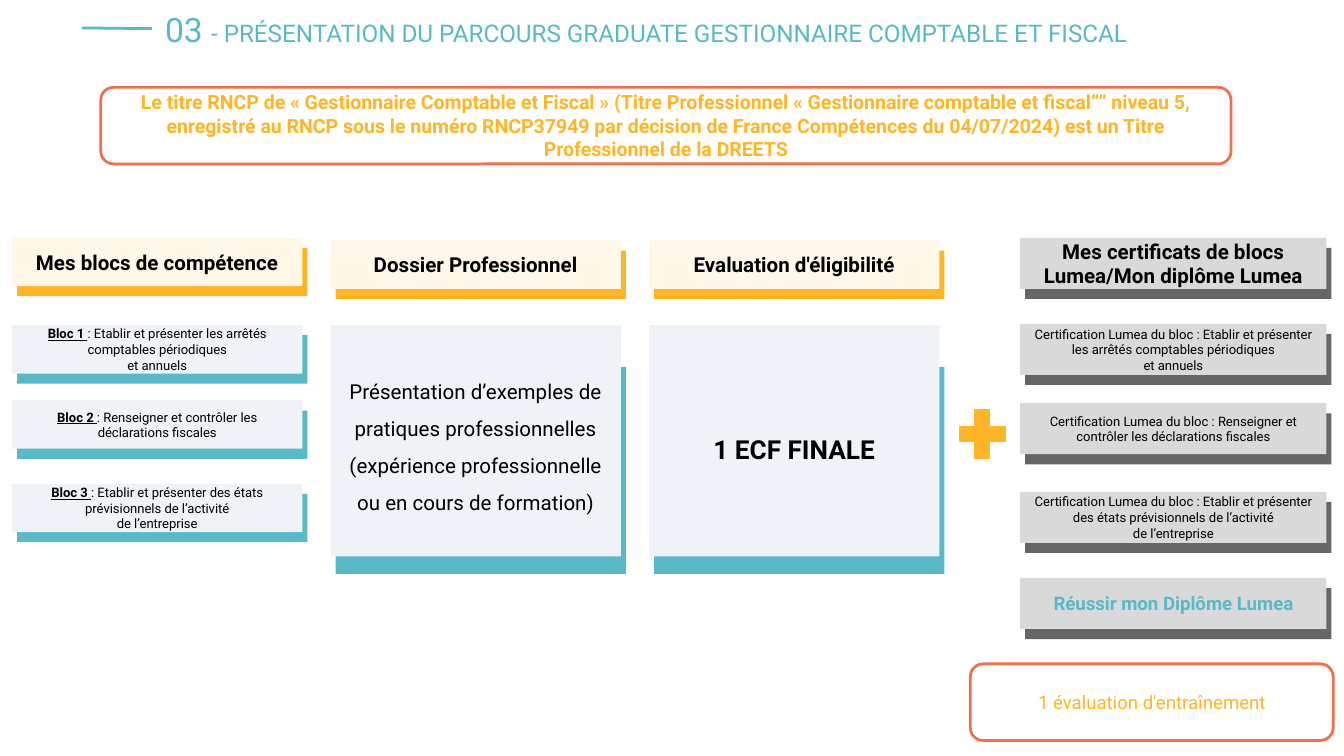
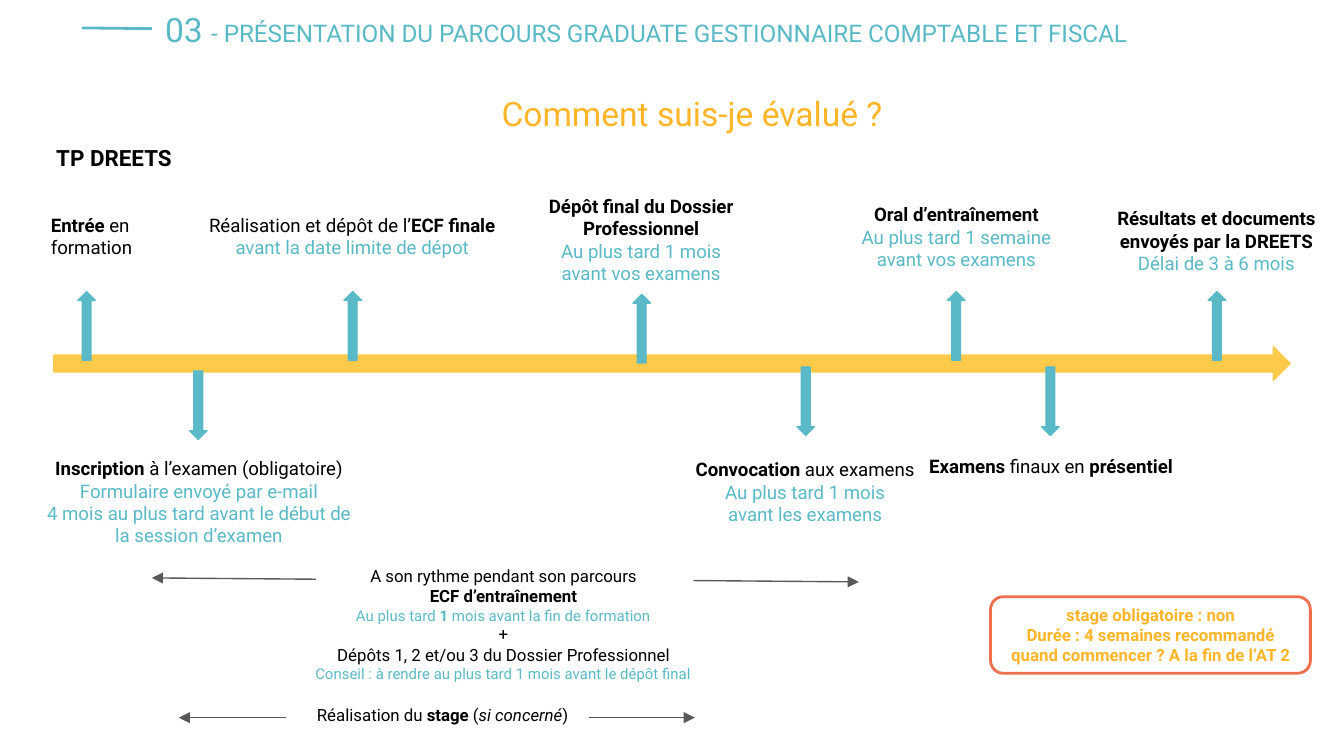
from dataclasses import dataclass

from lxml import etree
from pptx import Presentation
from pptx.dml.color import RGBColor
from pptx.enum.shapes import MSO_CONNECTOR, MSO_SHAPE
from pptx.enum.text import MSO_ANCHOR, PP_ALIGN
from pptx.oxml.ns import qn
from pptx.util import Inches, Pt

BOX, ROUND = MSO_SHAPE.RECTANGLE, MSO_SHAPE.ROUNDED_RECTANGLE
UP, RIGHT, PLUS = MSO_SHAPE.UP_ARROW, MSO_SHAPE.RIGHT_ARROW, MSO_SHAPE.MATH_PLUS
STRAIGHT = MSO_CONNECTOR.STRAIGHT
LEFT, CENTER = PP_ALIGN.LEFT, PP_ALIGN.CENTER
TOP, MIDDLE = MSO_ANCHOR.TOP, MSO_ANCHOR.MIDDLE

TEAL = RGBColor(0x59, 0xB9, 0xC7)
AMBER = RGBColor(0xFF, 0xB5, 0x27)
GOLD = RGBColor(0xFF, 0xCA, 0x4A)
CREAM = RGBColor(0xFF, 0xF8, 0xE9)
MIST = RGBColor(0xEF, 0xF2, 0xF6)
CORAL = RGBColor(0xEE, 0x70, 0x4C)
SILVER = RGBColor(0xD9, 0xD9, 0xD9)
GRAY = RGBColor(0x66, 0x66, 0x66)
SLATE = RGBColor(0x59, 0x59, 0x59)
BLACK = RGBColor(0, 0, 0)

FONT = "Roboto"
BOLD = {"bold": True}
ITALIC = {"italic": True}
MARK = {"bold": True, "underline": True}

WIDTH, HEIGHT = Inches(10), Inches(5.625)
CELL = WIDTH / 100  # square grid, 100 columns wide
PAD = 1

# Slide 1 grid
PITCH, FIRST = 23.7, 0.9
CARD_W, CARD_H = 21.6, 3.6
CERT_X, CERT_W, CERT_H = 75.9, 22.8, 3.8
BLOCKS = [
    (24.2, "Bloc 1 ", ": Etablir et présenter les arrêtés comptables périodiques",
     "et annuels"),
    (29.8, "Bloc 2 ", ": Renseigner et contrôler les déclarations fiscales", None),
    (36, "Bloc 3 ", ": Etablir et présenter des états prévisionnels de l’activité",
     "de l’entreprise"),
]
CERT_ROWS = (24.1, 30, 36.6)

# Slide 2 grid
RISES = [(5.8, 21.7), (25.6, 21.7), (47.1, 21.9), (70.5, 21.7), (89.9, 21.7)]
FALLS = [(14.1, 27.6), (59.3, 27.3), (77.5, 27.3)]
SPANS = [((21.3, 53.4), (13.3, 53.4)), ((43.8, 53.4), (51.7, 53.4)),
         ((23.5, 43.1), (11.3, 43)), ((51.6, 43.2), (63.9, 43.3))]


@dataclass
class Line:
    """One paragraph; a run is a string or a (string, font settings) pair."""
    runs: tuple
    size: float = 10
    ink: RGBColor = BLACK
    bold: bool = False
    gap: float = 1


def line(*runs, **look):
    return Line(runs, **look)


def grid(*cells):
    return [round(cell * CELL) for cell in cells]


def write(shape, lines, align=CENTER, anchor=MIDDLE):
    frame = shape.text_frame
    frame.word_wrap = True
    frame.vertical_anchor = anchor
    pad, = grid(PAD)
    frame.margin_left = frame.margin_right = pad
    frame.margin_top = frame.margin_bottom = pad
    for pos, item in enumerate(lines):
        para = frame.add_paragraph() if pos else frame.paragraphs[0]
        para.alignment = align
        para.line_spacing = item.gap
        font = para.font
        font.name, font.size, font.bold = FONT, Pt(item.size), item.bold
        font.color.rgb = item.ink
        for part in item.runs:
            text, look = (part, {}) if isinstance(part, str) else part
            run = para.add_run()
            run.text = text
            for key, value in look.items():
                setattr(run.font, key, value)


def text(slide, x, y, w, h, *lines, align=CENTER):
    write(slide.shapes.add_textbox(*grid(x, y, w, h)), lines, align, TOP)


def form(slide, kind, x, y, w, h, fill=None, edge=None, weight=0.75):
    shape = slide.shapes.add_shape(kind, *grid(x, y, w, h))
    shape.shadow.inherit = False
    if fill is None:
        shape.fill.background()
    else:
        shape.fill.solid()
        shape.fill.fore_color.rgb = fill
    if edge is None:
        shape.line.fill.background()
    else:
        shape.line.color.rgb = edge
        shape.line.width = Pt(weight)
    return shape


def card(slide, x, y, w, h, fill, shade, *lines, drop=0.75, depth=None):
    """Filled box in front of an offset box of the shade colour."""
    form(slide, BOX, x + 0.37, y + drop, w, depth or h, shade)
    write(form(slide, BOX, x, y, w, h, fill), lines)


def frame(slide, x, y, w, *lines):
    write(form(slide, ROUND, x, y, w, 5.7, edge=CORAL, weight=1.5), lines)


def rule(slide, start, end, ink, weight, arrow=False):
    link = slide.shapes.add_connector(STRAIGHT, *grid(*start, *end))
    link.line.color.rgb = ink
    link.line.width = Pt(weight)
    if arrow:
        etree.SubElement(link.line._get_or_add_ln(), qn("a:tailEnd"), type="triangle")
    etree.SubElement(link._element.spPr, qn("a:effectLst"))


def page(deck):
    """Blank slide with the shared title and its dash."""
    slide = deck.slides.add_slide(deck.slide_layouts[6])
    title = "- PRÉSENTATION DU PARCOURS GRADUATE GESTIONNAIRE COMPTABLE ET FISCAL"
    text(slide, 11.3, -0.3, 80, 5,
         line(("03 ", {"size": Pt(18)}), title, size=13, ink=TEAL), align=LEFT)
    rule(slide, (6.1, 2.08), (11.3, 2.13), TEAL, 1.5)
    return slide


def course(deck):
    slide = page(deck)
    heads = [(17.7, "Mes blocs de compétence"), (17.9, "Dossier Professionnel"),
             (17.9, "Evaluation d'éligibilité")]
    for col, (y, head) in enumerate(heads):
        card(slide, FIRST + col * PITCH, y, CARD_W, CARD_H, CREAM, AMBER,
             line(head, size=11, bold=True))
    card(slide, CERT_X, 17.7, CERT_W, CERT_H, SILVER, GRAY,
         line("Mes certificats de blocs Lumea/Mon diplôme Lumea", size=11, bold=True))

    for (y, name, topic, rest), row in zip(BLOCKS, CERT_ROWS):
        tail = [line(rest, size=7)] if rest else []
        card(slide, FIRST, y, CARD_W, CARD_H, MIST, TEAL,
             line((name, MARK), topic, size=7), *tail)
        card(slide, CERT_X, row, CERT_W, CERT_H, SILVER, GRAY,
             line("Certification Lumea du bloc " + topic, size=7), *tail)
    card(slide, CERT_X, 43, CERT_W, CERT_H, SILVER, GRAY,
         line("Réussir mon Diplôme Lumea", ink=TEAL, bold=True))

    tasks = [
        line("Présentation d’exemples de pratiques professionnelles (expérience "
             "professionnelle ou en cours de formation)", size=11, gap=1.5),
        line("1 ECF FINALE", size=14, bold=True, gap=1.5),
    ]
    for col, task in enumerate(tasks, 1):
        card(slide, FIRST + col * PITCH, 24.2, CARD_W, 17.2, MIST, TEAL, task,
             drop=3.1, depth=15.4)

    frame(slide, 7.5, 6.5, 84.1, line(
        "Le titre RNCP de « Gestionnaire Comptable et Fiscal » (Titre Professionnel "
        "« Gestionnaire comptable et fiscal”” niveau 5, enregistré au RNCP sous le "
        "numéro RNCP37949 par décision de France Compétences du 04/07/2024) est un "
        "Titre Professionnel de la DREETS", size=10.5, ink=AMBER, bold=True))
    frame(slide, 72.2, 49.4, 27, line("1 évaluation d'entraînement", ink=AMBER))
    plus = form(slide, PLUS, 70.8, 29.8, 4.6, 5, AMBER, AMBER)
    plus.adjustments[0] = 0.235


def steps(slide):
    """Captions above and below the time line."""
    text(slide, 2.8, 14.9, 9.2, 4.1, line(("Entrée", BOLD), " en formation"),
         align=LEFT)
    text(slide, 13.2, 14.9, 26, 4.1,
         line("Réalisation et dépôt de l’", ("ECF finale", BOLD)),
         line("avant la date limite de dépot", ink=TEAL))
    text(slide, 36.2, 13.5, 23, 4.1,
         line("Dépôt final du Dossier Professionnel", bold=True),
         line("Au plus tard 1 mois", ink=TEAL),
         line("avant vos examens", ink=TEAL))
    text(slide, 53.7, 14.1, 34.9, 4.1,
         line("Oral d’entraînement", bold=True),
         line("Au plus tard 1 semaine", ink=TEAL),
         line("avant vos examens", ink=TEAL))
    text(slide, 81.5, 14.4, 18, 4.1,
         line("Résultats et documents envoyés par la DREETS", bold=True),
         line("Délai de 3 à 6 mois", ink=TEAL))
    text(slide, 2.3, 33, 25, 4.1,
         line(("Inscription ", BOLD), "à l’examen (obligatoire)"),
         line("Formulaire envoyé par e-mail", ink=TEAL),
         line("4 mois au plus tard avant le début de la session d’examen", ink=TEAL))
    text(slide, 46.9, 33.1, 26, 4.1,
         line(("Convocation ", BOLD), "aux examens"),
         line("Au plus tard 1 mois", ink=TEAL),
         line("avant les examens", ink=TEAL))
    text(slide, 65.2, 33, 26, 4.1,
         line(("Examens ", BOLD), "finaux en", (" présentiel", BOLD)))


def exam(deck):
    slide = page(deck)
    text(slide, 31.5, 5.9, 40, 4.2,
         line("Comment suis-je évalué ?", size=18, ink=AMBER))
    text(slide, 3.2, 9.7, 53.2, 4.9, line("TP DREETS", size=12, bold=True), align=LEFT)

    form(slide, RIGHT, 4, 25.8, 92, 2.5, GOLD, GOLD)
    for spots, turn in ((RISES, 0), (FALLS, 180)):
        for x, y in spots:
            form(slide, UP, x, y, 1.3, 5.1, TEAL, TEAL).rotation = turn
    steps(slide)

    text(slide, 17.5, 41.1, 39.9, 6.8,
         line("A son rythme pendant son parcours", size=9),
         line("ECF d’entraînement", size=9, bold=True),
         line("Au plus tard ", ("1 ", BOLD), "mois avant la fin de formation",
              size=8, ink=TEAL),
         line("+", size=9),
         line("Dépôts 1, 2 et/ou 3 du Dossier Professionnel", size=9),
         line("Conseil : à rendre au plus tard 1 mois avant le dépôt final",
              size=8, ink=TEAL))
    text(slide, 22.6, 51.7, 39.4, 4.1,
         line("Réalisation du ", ("stage", BOLD), " (", ("si concerné", ITALIC), ")",
              size=9), align=LEFT)
    for start, end in SPANS:
        rule(slide, start, end, SLATE, 0.75, arrow=True)

    notes = ("stage obligatoire : non", "Durée : 4 semaines recommandé",
             "quand commencer ? A la fin de l’AT 2")
    frame(slide, 73.7, 44.4, 23.8,
          *(line(note, size=9, ink=AMBER, bold=True) for note in notes))


def main():
    deck = Presentation()
    deck.slide_width, deck.slide_height = WIDTH, HEIGHT
    course(deck)
    exam(deck)
    deck.save("out.pptx")


if __name__ == "__main__":
    main()
